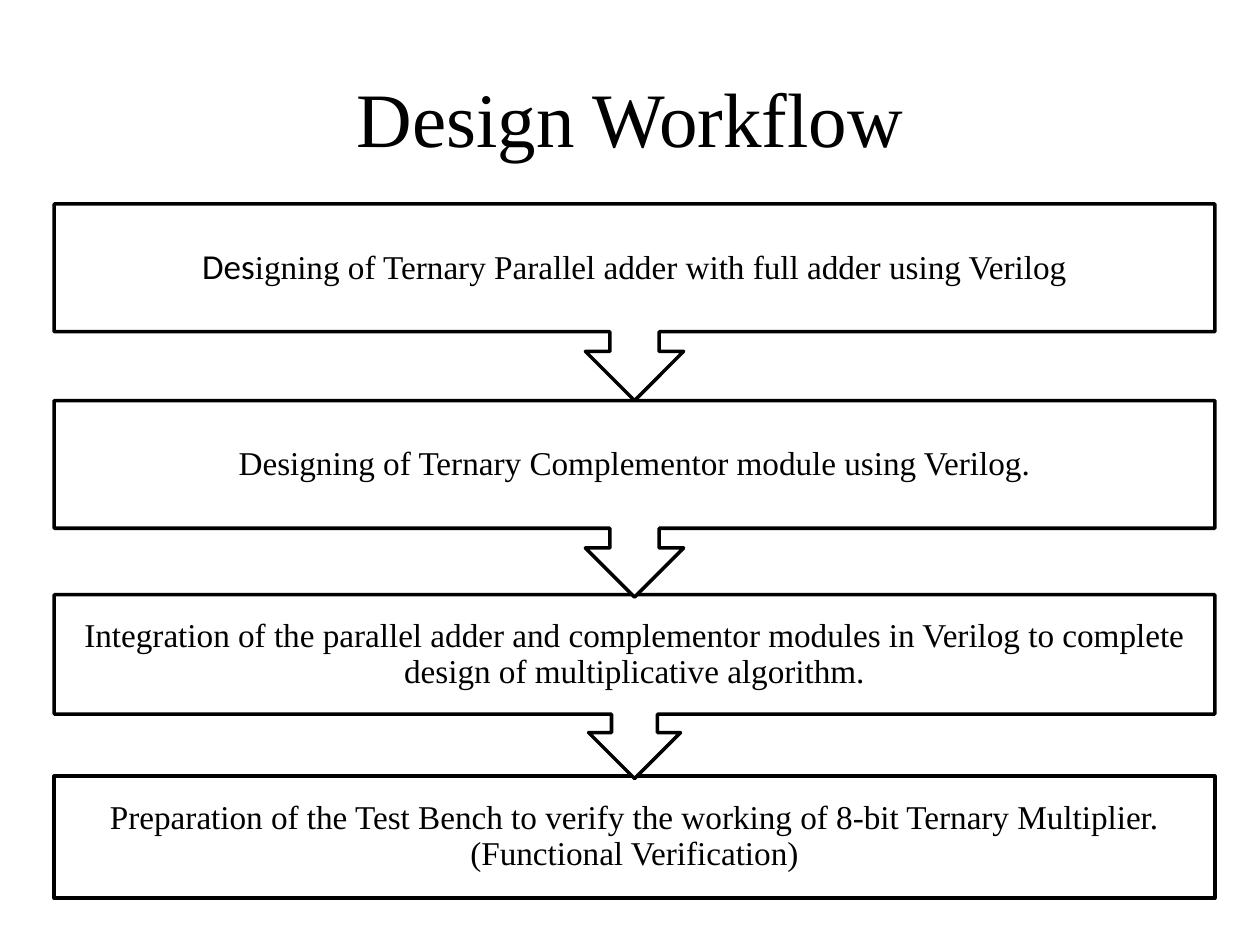
from pptx import Presentation
from pptx.dml.color import RGBColor
from pptx.enum import shapes, text
from pptx.util import Pt

COLORS = {"ink": "000000", "paper": "FFFFFF"}
SERIF, SANS = "Times New Roman", "Calibri"

# Each step: top and height within the workflow, then (wording, font, size) runs
STEPS = [
    (0, 112.3, [("Des", SANS, 20),
                ("igning of Ternary Parallel adder with full adder using Verilog", SERIF, 19)]),
    (112.3, 112.3, [("Designing of Ternary Complementor module using Verilog.", SERIF, 19)]),
    (223.2, 105.1, [("Integration of the parallel adder and complementor modules in Verilog "
                     "to complete design of multiplicative algorithm.", SERIF, 19)]),
    (326.9, 69.8, [("Preparation of the Test Bench to verify the working of 8-bit Ternary "
                    "Multiplier. (Functional Verification)", SERIF, 19)]),
]


def color(name):
    return RGBColor.from_string(COLORS[name])


def style_run(run, font, size):
    run.font.name = font
    run.font.size = Pt(size)
    run.font.color.rgb = color("ink")


def set_frame(frame, inset):
    frame.word_wrap = True
    frame.vertical_anchor = text.MSO_ANCHOR.MIDDLE
    frame.margin_left = frame.margin_right = Pt(inset)
    frame.margin_top = frame.margin_bottom = Pt(inset)


def place_heading(slide, left, top, width, height):
    heading = slide.shapes.title
    heading.left, heading.top = Pt(left), Pt(top)
    heading.width, heading.height = Pt(width), Pt(height)
    frame = heading.text_frame
    frame.text = "Design Workflow"
    set_frame(frame, 7.2)
    frame.paragraphs[0].alignment = text.PP_ALIGN.CENTER
    style_run(frame.paragraphs[0].runs[0], SERIF, 44)


def place_step(slide, left, top, width, height, wording, is_last):
    kinds = shapes.MSO_SHAPE
    kind = kinds.RECTANGLE if is_last else kinds.DOWN_ARROW_CALLOUT
    step = slide.shapes.add_shape(kind, Pt(left), Pt(top), Pt(width), Pt(height))
    if not is_last:
        for index, value in enumerate((0.25, 0.25, 0.25, 0.65)):
            step.adjustments[index] = value
    step.shadow.inherit = False
    step.fill.solid()
    step.fill.fore_color.rgb = color("paper")
    step.line.color.rgb = color("ink")
    step.line.width = Pt(2)

    set_frame(step.text_frame, 11)
    paragraph = step.text_frame.paragraphs[0]
    paragraph.alignment = text.PP_ALIGN.CENTER
    paragraph.line_spacing = 0.9
    for words, font, size in wording:
        run = paragraph.add_run()
        run.text = words
        style_run(run, font, size)


def place_workflow(slide, left, top, width):
    # Last step first, so that each arrow tip lies over the step below
    for index, (offset, height, wording) in reversed(list(enumerate(STEPS))):
        place_step(slide, left, top + offset, width, height, wording,
                   is_last=index == len(STEPS) - 1)


def main():
    deck = Presentation()
    deck.slide_width, deck.slide_height = Pt(720), Pt(540)
    slide = deck.slides.add_slide(deck.slide_layouts[5])
    place_heading(slide, 36, 21.6, 648, 90)
    place_workflow(slide, 31, 116.6, 663.2)
    deck.save("out.pptx")


if __name__ == "__main__":
    main()
